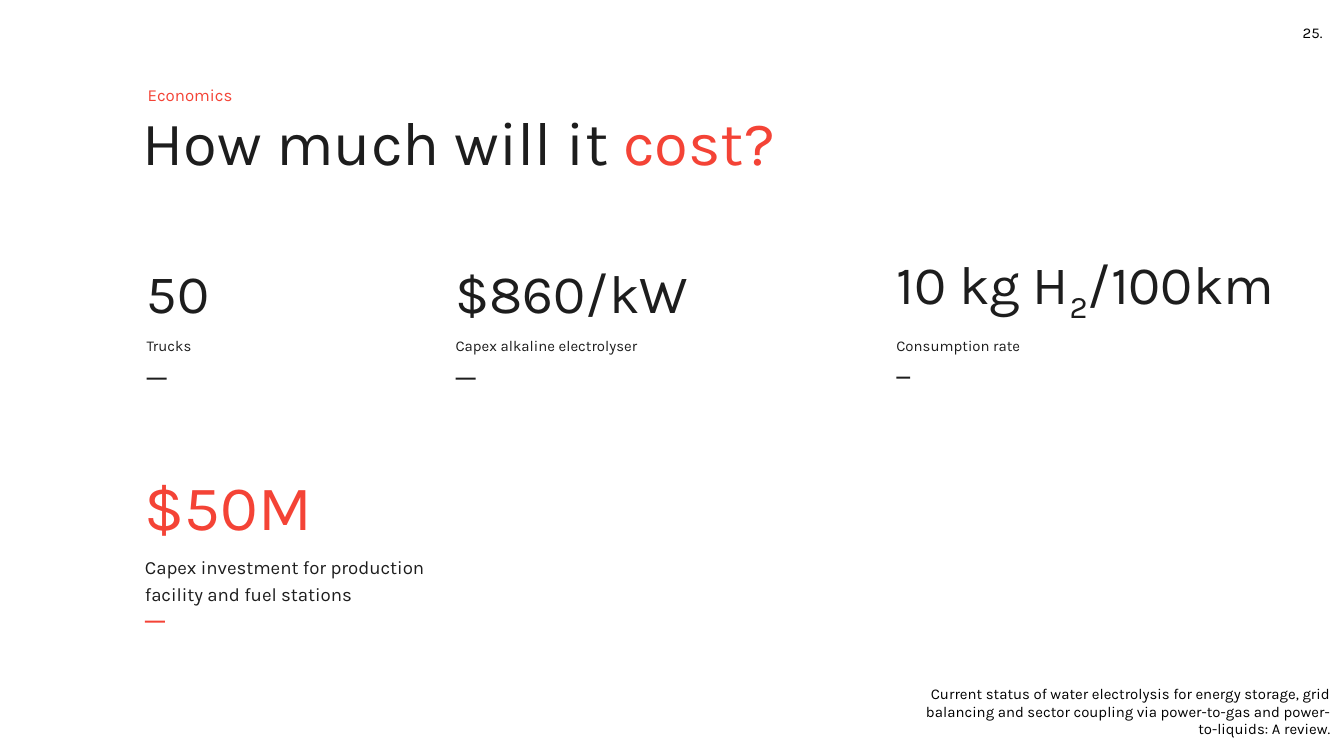
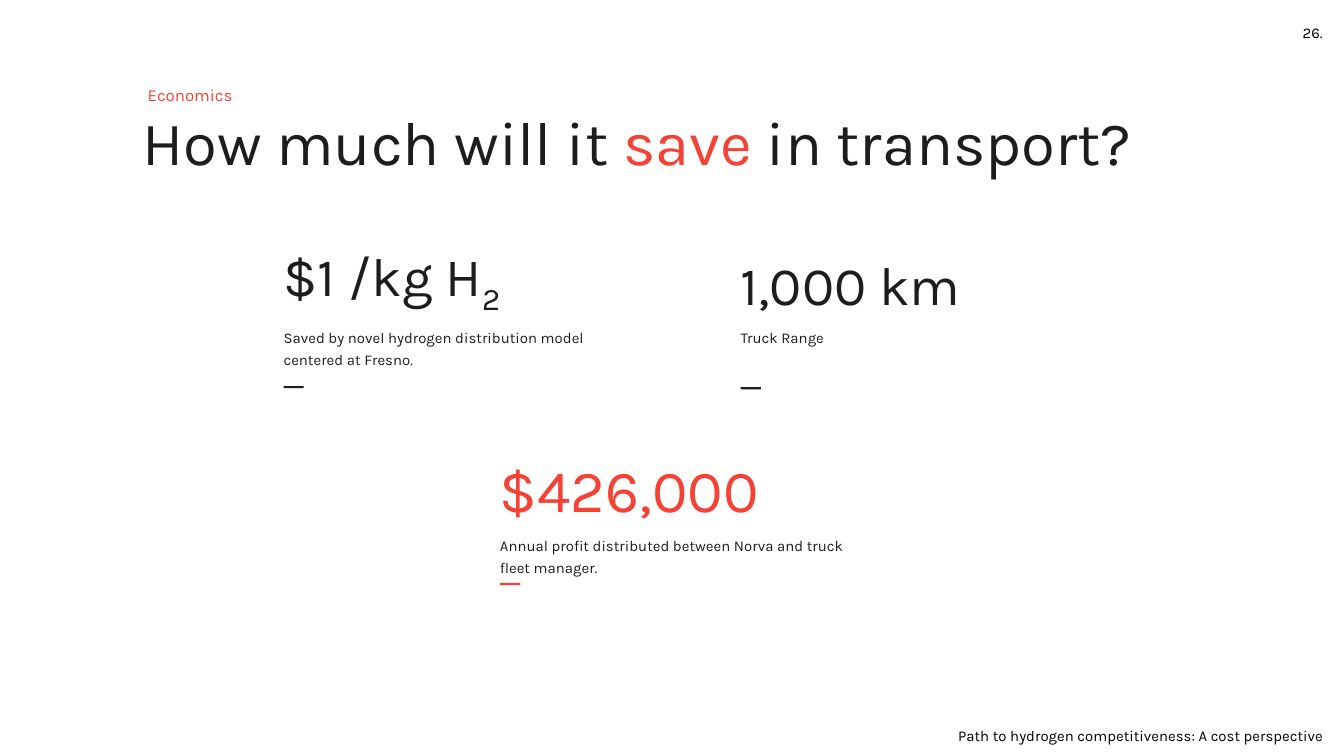
from dataclasses import dataclass

import pptx
import pptx.util
import pptx.dml.color
import pptx.enum.shapes
import pptx.enum.text

Cm = pptx.util.Cm
ANCHOR = pptx.enum.text.MSO_ANCHOR
ALIGN = pptx.enum.text.PP_ALIGN


@dataclass(frozen=True)
class Theme:
    font: str = "Karla"
    ink: str = "1D1D1D"
    accent: str = "F44336"
    note: str = "000000"
    title_size: int = 33
    section_size: int = 9
    value_size: int = 29
    small_size: int = 8
    note_inset: float = 0.25


THEME = Theme()


def rgb(color):
    return pptx.dml.color.RGBColor.from_string(color)


def fill_text(sp, runs, size, color, anchor=ANCHOR.TOP, spacing=None, align=ALIGN.LEFT, inset=0):
    tf = sp.text_frame
    tf.word_wrap = True
    tf.auto_size = pptx.enum.text.MSO_AUTO_SIZE.NONE
    tf.vertical_anchor = anchor
    tf.margin_left = tf.margin_right = tf.margin_top = tf.margin_bottom = Cm(inset)
    p = tf.paragraphs[0]
    p.alignment = align
    if spacing:
        p.line_spacing = spacing
    p.font.name = THEME.font
    p.font.size = pptx.util.Pt(size)
    p.font.color.rgb = rgb(color)
    for text, style in runs:
        r = p.add_run()
        r.text = text
        if style == "accent":
            r.font.color.rgb = rgb(THEME.accent)
        elif style == "sub":
            r._r.get_or_add_rPr().set("baseline", "-25000")


def add_text(s, box, runs, size, color, **layout):
    sp = s.shapes.add_textbox(*map(Cm, box))
    fill_text(sp, runs, size, color, **layout)


def add_note(s, box, text, **layout):
    add_text(s, box, [(text, None)], THEME.small_size, THEME.note,
             inset=THEME.note_inset, **layout)


def add_bar(s, left, top, width, color):
    sp = s.shapes.add_shape(pptx.enum.shapes.MSO_SHAPE.RECTANGLE,
                            Cm(left), Cm(top), Cm(width), Cm(0.04))
    sp.shadow.inherit = False
    sp.fill.solid()
    sp.fill.fore_color.rgb = rgb(color)
    sp.line.fill.background()


def add_stat(s, left, top, width, value, caption, caption_width, bar_drop,
             color=THEME.ink, size=THEME.value_size,
             caption_size=THEME.small_size, bar_width=0.38):
    add_text(s, (left, top, width, 1.3), value, size, color,
             anchor=ANCHOR.BOTTOM, spacing=1.1)
    add_text(s, (left, top + 1.47, caption_width, 0.43), [(caption, None)],
             caption_size, THEME.ink, spacing=1.2)
    add_bar(s, left, top + bar_drop, bar_width, color)


def add_economics_slide(prs, title, number):
    s = prs.slides.add_slide(prs.slide_layouts.get_by_name("Title Only"))
    sp = s.shapes.title
    sp.left, sp.top, sp.width, sp.height = map(Cm, (2.69, 2.13, 19.81, 1.27))
    fill_text(sp, title, THEME.title_size, THEME.ink, spacing=0.9)
    add_text(s, (2.79, 1.55, 3.76, 0.43), [("Economics", None)],
             THEME.section_size, THEME.accent, anchor=ANCHOR.BOTTOM, spacing=1.2)
    add_note(s, (24.37, 0.38, 0.94, 0.46), f"{number}.", anchor=ANCHOR.MIDDLE)
    return s


def build_cost(prs):
    s = add_economics_slide(
        prs, [("How much will it ", None), ("cost?", "accent")], 25)
    top = 4.83
    add_stat(s, 2.77, top, 1.63, [("50", None)], "Trucks", 2.11, 2.31)
    add_stat(s, 8.61, top, 4.57, [("$860/kW", None)],
             "Capex alkaline electrolyser", 4.22, 2.31)
    add_stat(s, 16.94, top, 7.47,
             [("10 kg H", None), ("2", "sub"), ("/100km", None)],
             "Consumption rate", 2.64, 2.29, bar_width=0.26)
    add_stat(s, 2.74, 8.96, 3.99, [("$50M", None)],
             "Capex investment for production facility and fuel stations", 5.54, 2.77,
             color=THEME.accent, size=34, caption_size=10)
    add_note(s, (16.94, 11.94, 8.46, 2.26),
             "Current status of water electrolysis for energy storage, grid balancing "
             "and sector coupling via power-to-gas and power-to-liquids: A review.",
             anchor=ANCHOR.BOTTOM, align=ALIGN.RIGHT)


def build_savings(prs):
    s = add_economics_slide(
        prs, [("How much will it ", None), ("save ", "accent"), ("in transport?", None)], 26)
    top = 4.68
    add_stat(s, 5.36, top, 5.28, [("$1 /kg H", None), ("2", "sub")],
             "Saved by novel hydrogen distribution model centered at Fresno.", 5.79, 2.62)
    add_stat(s, 14.0, top, 4.57, [("1,000 km", None)], "Truck Range", 4.22, 2.64)
    add_stat(s, 9.45, 8.61, 5.28, [("$426,000", None)],
             "Annual profit distributed between Norva and truck fleet manager.", 6.55, 2.41,
             color=THEME.accent, size=32)
    add_note(s, (16.94, 13.49, 8.33, 0.78),
             "Path to hydrogen competitiveness: A cost perspective", align=ALIGN.RIGHT)


def main():
    prs = pptx.Presentation()
    prs.slide_width, prs.slide_height = Cm(25.4), Cm(14.29)
    build_cost(prs)
    build_savings(prs)
    prs.save("out.pptx")


if __name__ == "__main__":
    main()
